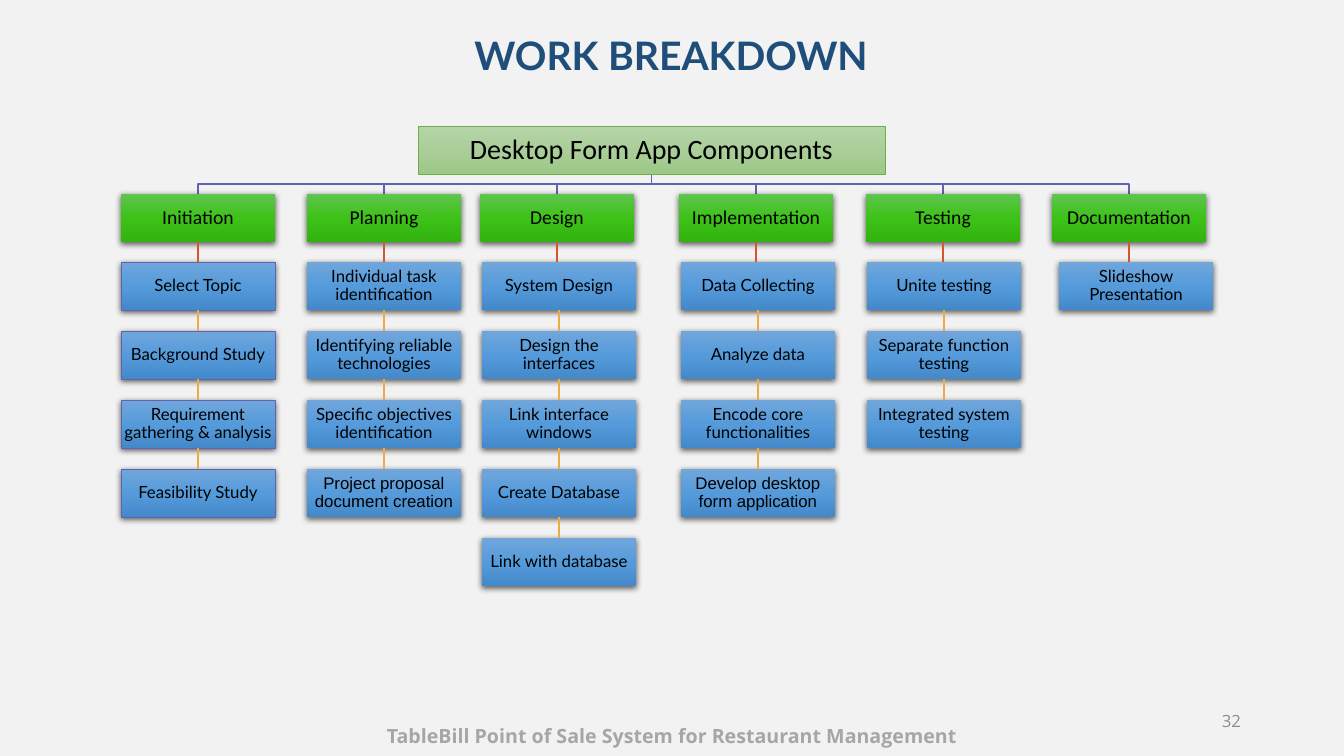
from dataclasses import dataclass

from lxml import etree
from pptx import Presentation
from pptx.dml.color import RGBColor
from pptx.enum.shapes import MSO_CONNECTOR, MSO_SHAPE
from pptx.enum.text import MSO_ANCHOR, PP_ALIGN
from pptx.oxml.ns import qn
from pptx.util import Pt

RECTANGLE = MSO_SHAPE.RECTANGLE
STRAIGHT = MSO_CONNECTOR.STRAIGHT
TOP_SITE, BOTTOM_SITE = 0, 2
MIDDLE, TOP = MSO_ANCHOR.MIDDLE, MSO_ANCHOR.TOP
CENTER, RIGHT = PP_ALIGN.CENTER, PP_ALIGN.RIGHT

TITLE = "WORK BREAKDOWN"
ROOT = "Desktop Form App Components"
FOOTER = "TableBill Point of Sale System for Restaurant Management"
SLIDE_NUMBER = "32"

# phase, left of its header, shift of its tasks to the right, tasks
PHASES = [
    ("Initiation", 121, 0, ["Select Topic", "Background Study",
                            "Requirement gathering & analysis", "Feasibility Study"]),
    ("Planning", 307, 0, ["Individual task identification",
                          "Identifying reliable technologies",
                          "Specific objectives identification",
                          "Project proposal document creation"]),
    ("Design", 480, 2, ["System Design", "Design the interfaces", "Link interface windows",
                        "Create Database", "Link with database"]),
    ("Implementation", 679, 2, ["Data Collecting", "Analyze data",
                                "Encode core functionalities",
                                "Develop desktop form application"]),
    ("Testing", 866, 1, ["Unite testing", "Separate function testing",
                         "Integrated system testing"]),
    ("Documentation", 1052, 7, ["Slideshow Presentation"]),
]
OUTLINED_PHASE = "Initiation"
ARIAL_TASKS = {"Project proposal document creation", "Develop desktop form application"}

SLIDE_WIDTH, SLIDE_HEIGHT = 1344, 756
ROOT_BOX = (418, 126, 467, 48)
BOX_WIDTH, BOX_HEIGHT = 154, 48
FIRST_ROW, ROW_STEP = 194, 69
BUS_Y = 184
EMU_PER_PX = 914400 / 100.8


@dataclass(frozen=True)
class Theme:
    background: str = "F2F2F2"
    title: str = "1E4E79"
    text: str = "000000"
    footer: str = "A6A6A6"
    number: str = "8C8C8C"
    root_fill: tuple = ("B5D5A7", "AACE9A", "9CC987")
    root_line: str = "70AD47"
    phase_fill: tuple = ("5EC54F", "3DC218", "32B30F")
    task_fill: tuple = ("71A6DB", "559BDB", "448ACA")
    trunk: str = "6063B4"
    phase_link: str = "D3562F"
    task_link: str = "EAAC49"
    line_width: float = 1.25
    title_size: int = 28
    root_size: int = 20
    phase_size: int = 14
    task_size: int = 12
    footer_size: int = 14
    number_size: int = 12


THEME = Theme()


def px(value):
    return round(value * EMU_PER_PX)


def color(value):
    return RGBColor.from_string(value)


def write(shape, text, font_name, size, text_color, bold=False, align=CENTER,
          anchor=MIDDLE, margins=(10, 5), spacing=None):
    frame = shape.text_frame
    frame.word_wrap = True
    frame.vertical_anchor = anchor
    frame.margin_left = frame.margin_right = px(margins[0])
    frame.margin_top = frame.margin_bottom = px(margins[1])
    paragraph = frame.paragraphs[0]
    paragraph.alignment = align
    if spacing:
        paragraph.line_spacing = spacing
    run = paragraph.add_run()
    run.text = text
    run.font.name = font_name
    run.font.size = Pt(size)
    run.font.bold = bold
    run.font.color.rgb = color(text_color)


def add_label(slide, box, *text_arguments, **text_options):
    shape = slide.shapes.add_textbox(*map(px, box))
    write(shape, *text_arguments, **text_options)


def add_color(parent, value):
    return etree.SubElement(parent, qn("a:srgbClr"), val=value)


def fill_downward(shape, colors):
    """Give a new shape a top-to-bottom gradient with evenly spaced stops."""
    gradient = etree.SubElement(shape._element.spPr, qn("a:gradFill"), rotWithShape="1")
    stops = etree.SubElement(gradient, qn("a:gsLst"))
    for index, value in enumerate(colors):
        position = 100000 * index // (len(colors) - 1)
        add_color(etree.SubElement(stops, qn("a:gs"), pos=str(position)), value)
    etree.SubElement(gradient, qn("a:lin"), ang="5400000", scaled="0")


def drop_shadow(shape):
    effects = shape._element.spPr.find(qn("a:effectLst"))
    shadow = etree.SubElement(effects, qn("a:outerShdw"), blurRad=str(Pt(4.5)),
                              dist=str(Pt(1.5)), dir="5400000", algn="ctr", rotWithShape="0")
    etree.SubElement(add_color(shadow, "000000"), qn("a:alpha"), val="63000")


def add_box(slide, box, text, font_name, size, fill, line=None, line_width=0.5, shadow=True):
    shape = slide.shapes.add_shape(RECTANGLE, *map(px, box))
    fill_downward(shape, fill)
    if line:
        shape.line.color.rgb = color(line)
        shape.line.width = Pt(line_width)
    else:
        shape.line.fill.background()
    shape.shadow.inherit = False
    if shadow:
        drop_shadow(shape)
    write(shape, text, font_name, size, THEME.text, margins=(1, 1), spacing=0.9)
    return shape


def add_trunk(slide, phase_center):
    """Draw the bent line from the root box down to one phase header."""
    left, top, width, height = ROOT_BOX
    root_center = left + width / 2
    builder = slide.shapes.build_freeform(px(root_center), px(top + height))
    corners = [(root_center, BUS_Y), (phase_center, BUS_Y), (phase_center, FIRST_ROW)]
    builder.add_line_segments([(px(x), px(y)) for x, y in corners], close=False)
    trunk = builder.convert_to_shape()
    trunk.fill.background()
    trunk.line.color.rgb = color(THEME.trunk)
    trunk.line.width = Pt(THEME.line_width)
    trunk.shadow.inherit = False


def add_link(slide, upper, lower, line_color):
    """Draw a vertical line between two boxes, joined where their middles meet."""
    x = upper.left + upper.width // 2
    link = slide.shapes.add_connector(STRAIGHT, x, upper.top + upper.height, x, lower.top)
    link.begin_connect(upper, BOTTOM_SITE)
    if upper.left == lower.left:
        link.end_connect(lower, TOP_SITE)
    link.line.color.rgb = color(line_color)
    link.line.width = Pt(THEME.line_width)
    etree.SubElement(link._element.spPr, qn("a:effectLst"))


def add_phase(slide, name, left, shift, tasks):
    upper = add_box(slide, (left, FIRST_ROW, BOX_WIDTH, BOX_HEIGHT), name, "Calibri",
                    THEME.phase_size, THEME.phase_fill)
    link_color = THEME.phase_link
    outline = THEME.trunk if name == OUTLINED_PHASE else None
    for row, task in enumerate(tasks, start=1):
        box = (left + shift, FIRST_ROW + row * ROW_STEP - 1, BOX_WIDTH, BOX_HEIGHT)
        font_name = "Arial" if task in ARIAL_TASKS else "Lato"
        lower = add_box(slide, box, task, font_name, THEME.task_size, THEME.task_fill, outline)
        add_link(slide, upper, lower, link_color)
        upper, link_color = lower, THEME.task_link


def main():
    presentation = Presentation()
    presentation.slide_width, presentation.slide_height = px(SLIDE_WIDTH), px(SLIDE_HEIGHT)
    slide = presentation.slides.add_slide(presentation.slide_layouts[6])
    slide.background.fill.solid()
    slide.background.fill.fore_color.rgb = color(THEME.background)

    add_label(slide, (141, 26, 1060, 57), TITLE, "Lato", THEME.title_size, THEME.title,
              bold=True, anchor=TOP)
    for _, left, _, _ in PHASES:
        add_trunk(slide, left + BOX_WIDTH / 2)
    add_box(slide, ROOT_BOX, ROOT, "Calibri", THEME.root_size, THEME.root_fill,
            THEME.root_line, shadow=False)
    for phase in PHASES:
        add_phase(slide, *phase)
    add_label(slide, (0, 716, SLIDE_WIDTH, 40), FOOTER, "Open Sans", THEME.footer_size,
              THEME.footer, bold=True)
    add_label(slide, (949, 701, 302, 40), SLIDE_NUMBER, "Open Sans", THEME.number_size,
              THEME.number, align=RIGHT)
    presentation.save("out.pptx")


if __name__ == "__main__":
    main()
